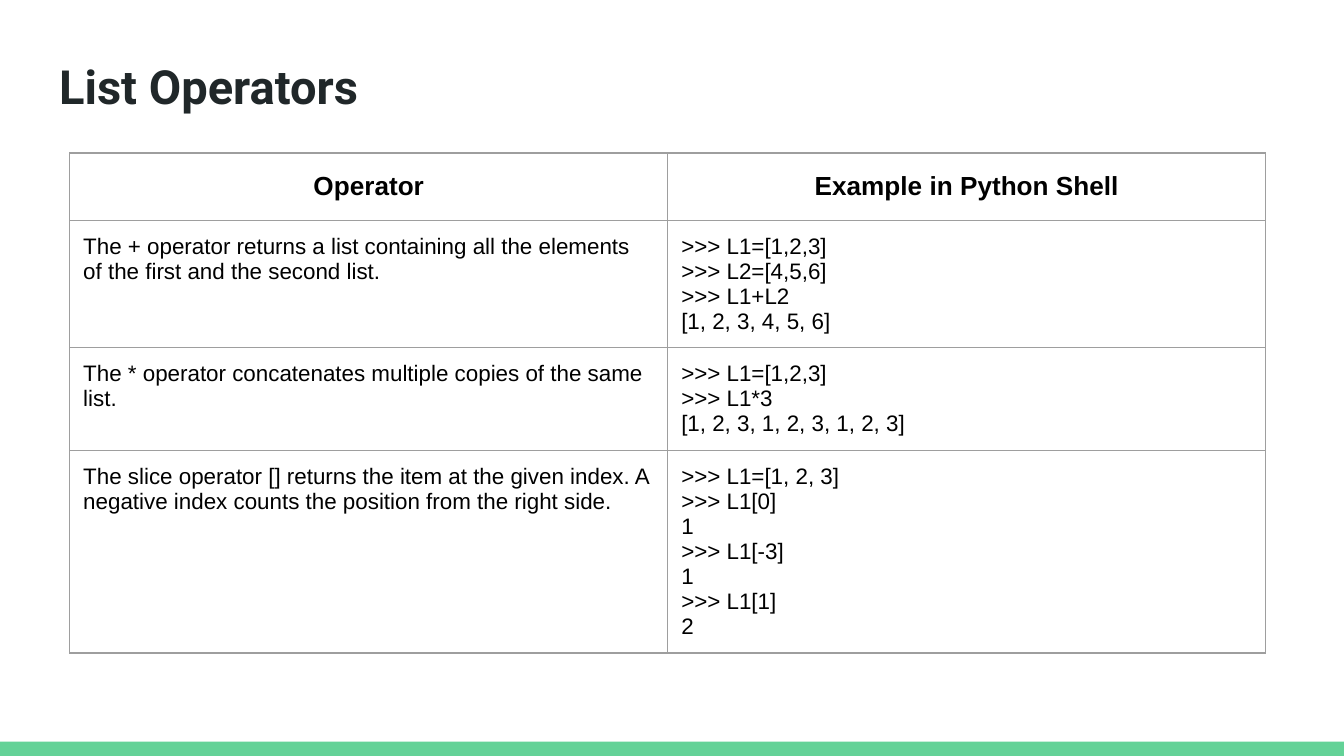
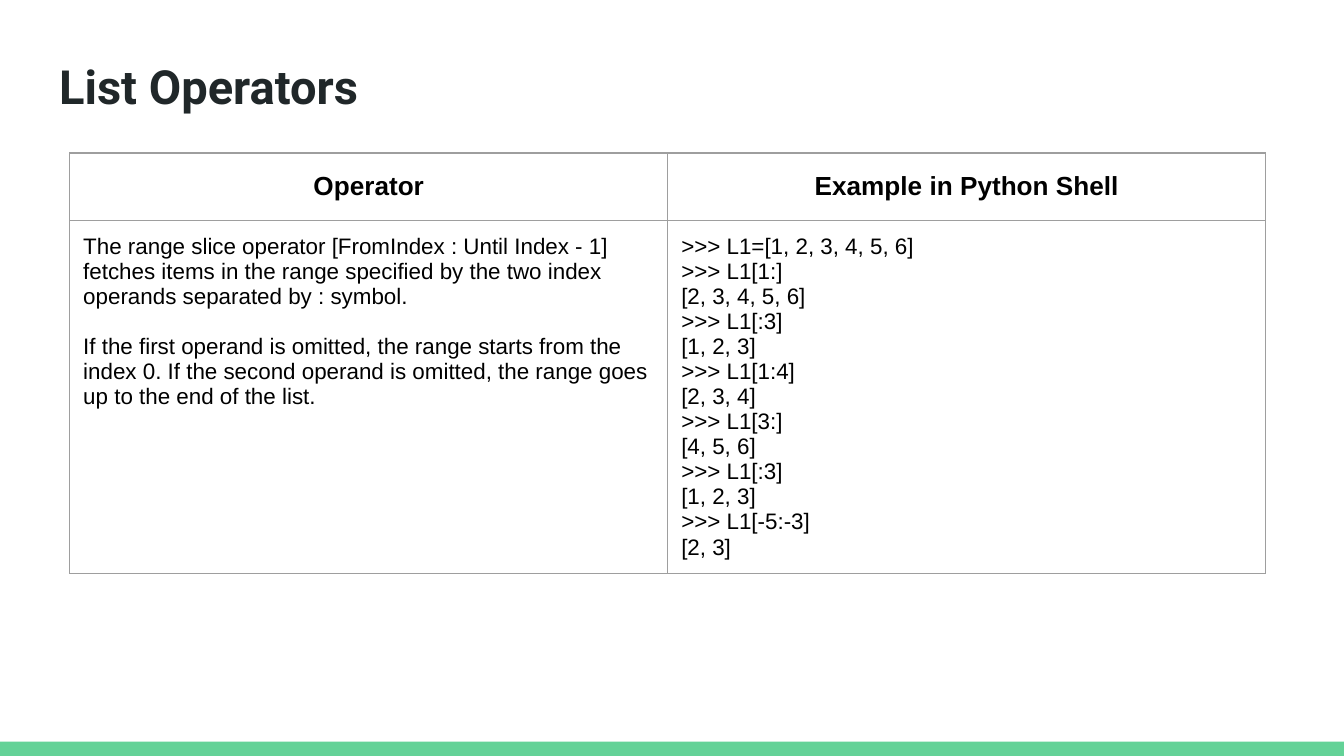
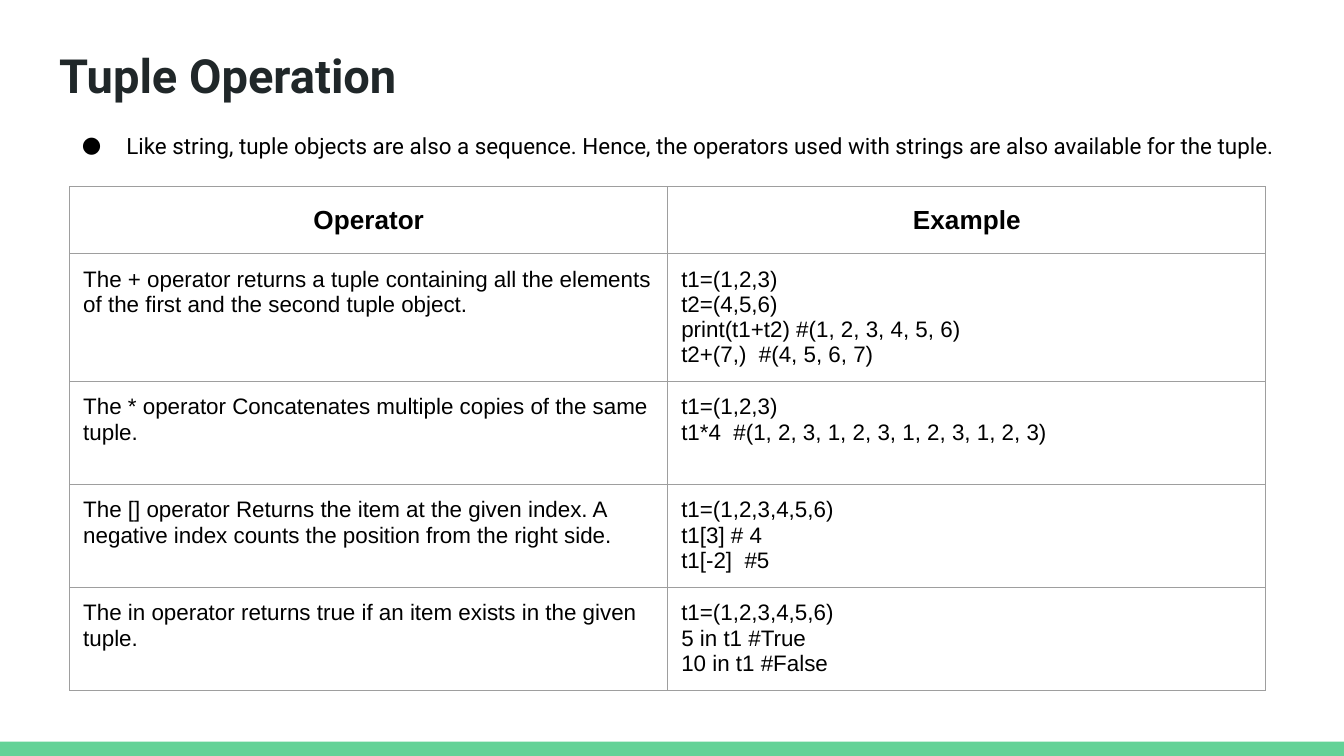
from dataclasses import dataclass
from typing import Any, Optional

from lxml import etree
from pptx import Presentation
from pptx.dml.color import RGBColor
from pptx.enum import shapes, text
from pptx.oxml import ns
from pptx.util import Pt

GREEN = RGBColor(0x63, 0xD2, 0x97)
INK = RGBColor(0x20, 0x27, 0x29)
BLACK = RGBColor(0, 0, 0)
GREY = RGBColor(0x9E, 0x9E, 0x9E)

SLIDE_WIDTH, SLIDE_HEIGHT = Pt(720), Pt(405)
BAND_HEIGHT = Pt(7.6)
BAND_SHAPE_ID = 100
CONTENT_LAYOUT, TITLE_ONLY_LAYOUT = 1, 5
BOX_LEFT, BOX_WIDTH = Pt(24.5), Pt(671)
TITLE_HEIGHT, BODY_HEIGHT = Pt(45.4), Pt(30.2)
TABLE_LEFT, COLUMN_WIDTH = Pt(37.4), Pt(320.4)
HEADER_HEIGHT, ROW_HEIGHT = Pt(36), Pt(55.2)
PARAGRAPH_GAP = Pt(13.4)
BORDER_WIDTH = Pt(0.75)

INSETS = {f"margin_{side}": Pt(7.2) for side in ("left", "top", "right", "bottom")}
FRAME = {**INSETS, "word_wrap": True, "auto_size": text.MSO_AUTO_SIZE.NONE}
TITLE_FONT = {"name": "Roboto", "size": Pt(25.2), "bold": True}
BODY_FONT = {"name": "Roboto", "size": Pt(12), "bold": False}
HEADER_FONT = {"name": "Arial", "size": Pt(14), "bold": True}
CELL_FONT = {"name": "Arial", "size": Pt(12), "bold": False}


@dataclass(frozen=True)
class OperatorRow:
    description: list[str]
    example: list[str]


@dataclass(frozen=True)
class OperatorSlide:
    title: str
    title_top: float
    table_top: float
    example_heading: str
    rows: list[OperatorRow]
    bullet: Optional[str] = None
    bullet_top: float = 61.2


SLIDES = [
    OperatorSlide("List Operators", 23, 82, "Example in Python Shell", [
        OperatorRow(
            ["The + operator returns a list containing all the elements of the first and the second list."],
            [">>> L1=[1,2,3]", ">>> L2=[4,5,6]", ">>> L1+L2", "[1, 2, 3, 4, 5, 6]"]),
        OperatorRow(
            ["The * operator concatenates multiple copies of the same list."],
            [">>> L1=[1,2,3]", ">>> L1*3", "[1, 2, 3, 1, 2, 3, 1, 2, 3]"]),
        OperatorRow(
            ["The slice operator [] returns the item at the given index. "
             "A negative index counts the position from the right side."],
            [">>> L1=[1, 2, 3]", ">>> L1[0]", "1", ">>> L1[-3]", "1", ">>> L1[1]", "2"]),
    ]),
    OperatorSlide("List Operators", 23, 82, "Example in Python Shell", [
        OperatorRow(
            ["The range slice operator [FromIndex : Until Index - 1] fetches items in the range "
             "specified by the two index operands separated by : symbol.",
             "If the first operand is omitted, the range starts from the index 0. "
             "If the second operand is omitted, the range goes up to the end of the list."],
            [">>> L1=[1, 2, 3, 4, 5, 6]", ">>> L1[1:]", "[2, 3, 4, 5, 6]", ">>> L1[:3]", "[1, 2, 3]",
             ">>> L1[1:4]", "[2, 3, 4]", ">>> L1[3:]", "[4, 5, 6]", ">>> L1[:3]", "[1, 2, 3]",
             ">>> L1[-5:-3]", "[2, 3]"]),
    ]),
    OperatorSlide("Tuple Operation", 17.2, 100, "Example", [
        OperatorRow(
            ["The + operator returns a tuple containing all the elements of the first and the second tuple object."],
            ["t1=(1,2,3)", "t2=(4,5,6)", "print(t1+t2) #(1, 2, 3, 4, 5, 6)", "t2+(7,)  #(4, 5, 6, 7)"]),
        OperatorRow(
            ["The * operator Concatenates multiple copies of the same tuple."],
            ["t1=(1,2,3)", "t1*4  #(1, 2, 3, 1, 2, 3, 1, 2, 3, 1, 2, 3)"]),
        OperatorRow(
            ["The [] operator Returns the item at the given index. "
             "A negative index counts the position from the right side."],
            ["t1=(1,2,3,4,5,6)", "t1[3] # 4", "t1[-2]  #5"]),
        OperatorRow(
            ["The in operator returns true if an item exists in the given tuple."],
            ["t1=(1,2,3,4,5,6)", "5 in t1 #True", "10 in t1 #False"]),
    ], "Like string, tuple objects are also a sequence. "
       "Hence, the operators used with strings are also available for the tuple."),
]


def apply_format(target: Any, values: dict[str, Any]) -> None:
    for name, value in values.items():
        setattr(target, name, value)


def format_font(paragraph: Any, values: dict[str, Any], color: RGBColor) -> None:
    for run in paragraph.runs:
        apply_format(run.font, values)
        run.font.color.rgb = color


def add_element(parent: Any, tag: str, **attributes: str) -> Any:
    return etree.SubElement(parent, ns.qn(tag), attributes)


def add_band(presentation: Any, slide: Any) -> None:
    band = slide.shapes.add_shape(
        shapes.MSO_SHAPE.RECTANGLE, 0, SLIDE_HEIGHT - BAND_HEIGHT, SLIDE_WIDTH, BAND_HEIGHT)
    band.shadow.inherit = False
    band.fill.solid()
    band.fill.fore_color.rgb = GREEN
    band.line.fill.background()
    band.element.nvSpPr.cNvPr.set("id", str(BAND_SHAPE_ID))
    presentation.slide_master.shapes.element.append(band.element)


def fill_placeholder(placeholder: Any, words: str, top: float, height: int, anchor: Any) -> Any:
    apply_format(placeholder, {"left": BOX_LEFT, "top": Pt(top), "width": BOX_WIDTH, "height": height})
    frame = placeholder.text_frame
    frame.text = words
    apply_format(frame, {**FRAME, "vertical_anchor": anchor})
    return frame.paragraphs[0]


def add_title(slide: Any, title: str, top: float) -> None:
    paragraph = fill_placeholder(slide.shapes.title, title, top, TITLE_HEIGHT, text.MSO_ANCHOR.MIDDLE)
    paragraph.alignment = text.PP_ALIGN.LEFT
    format_font(paragraph, TITLE_FONT, INK)


def add_bullet(slide: Any, words: str, top: float) -> None:
    paragraph = fill_placeholder(slide.placeholders[1], words, top, BODY_HEIGHT, text.MSO_ANCHOR.TOP)
    properties = paragraph._p.get_or_add_pPr()
    properties.set("marL", str(Pt(36)))
    properties.set("indent", str(-Pt(23.8)))
    color = add_element(properties, "a:buClr")
    add_element(color, "a:srgbClr", val=str(BLACK))
    add_element(properties, "a:buFont", typeface="Roboto")
    add_element(properties, "a:buChar", char="●")
    apply_format(paragraph, {"line_spacing": 1.15, "space_before": Pt(0)})
    format_font(paragraph, BODY_FONT, BLACK)


def add_borders(cell: Any) -> None:
    properties = cell._tc.get_or_add_tcPr()
    for side in ("L", "R", "T", "B"):
        line = add_element(properties, f"a:ln{side}", w=str(BORDER_WIDTH))
        fill = add_element(line, "a:solidFill")
        add_element(fill, "a:srgbClr", val=str(GREY))


def fill_cell(cell: Any, lines: list[str], is_header: bool = False, gap: int = 0) -> None:
    add_borders(cell)
    cell.fill.background()
    anchor = text.MSO_ANCHOR.MIDDLE if is_header else text.MSO_ANCHOR.TOP
    apply_format(cell, {**INSETS, "vertical_anchor": anchor})
    cell.text_frame.text = "\n".join(lines)
    for index, paragraph in enumerate(cell.text_frame.paragraphs):
        paragraph.alignment = text.PP_ALIGN.CENTER if is_header else text.PP_ALIGN.LEFT
        if index and gap:
            paragraph.space_before = gap
        format_font(paragraph, HEADER_FONT if is_header else CELL_FONT, BLACK)


def add_operator_table(slide: Any, content: OperatorSlide) -> None:
    height = HEADER_HEIGHT + ROW_HEIGHT * len(content.rows)
    table = slide.shapes.add_table(
        len(content.rows) + 1, 2, TABLE_LEFT, Pt(content.table_top), COLUMN_WIDTH * 2, height).table
    table.horz_banding = False
    for column in table.columns:
        column.width = COLUMN_WIDTH
    for index, row in enumerate(table.rows):
        row.height = ROW_HEIGHT if index else HEADER_HEIGHT
    for column, heading in enumerate(("Operator", content.example_heading)):
        fill_cell(table.cell(0, column), [heading], is_header=True)
    for index, row in enumerate(content.rows, start=1):
        fill_cell(table.cell(index, 0), row.description, gap=PARAGRAPH_GAP)
        fill_cell(table.cell(index, 1), row.example)


def main() -> None:
    presentation = Presentation()
    apply_format(presentation, {"slide_width": SLIDE_WIDTH, "slide_height": SLIDE_HEIGHT})
    for content in SLIDES:
        layout = CONTENT_LAYOUT if content.bullet else TITLE_ONLY_LAYOUT
        slide = presentation.slides.add_slide(presentation.slide_layouts[layout])
        add_title(slide, content.title, content.title_top)
        if content.bullet:
            add_bullet(slide, content.bullet, content.bullet_top)
        add_operator_table(slide, content)
    add_band(presentation, presentation.slides[0])
    presentation.save("out.pptx")


if __name__ == "__main__":
    main()
